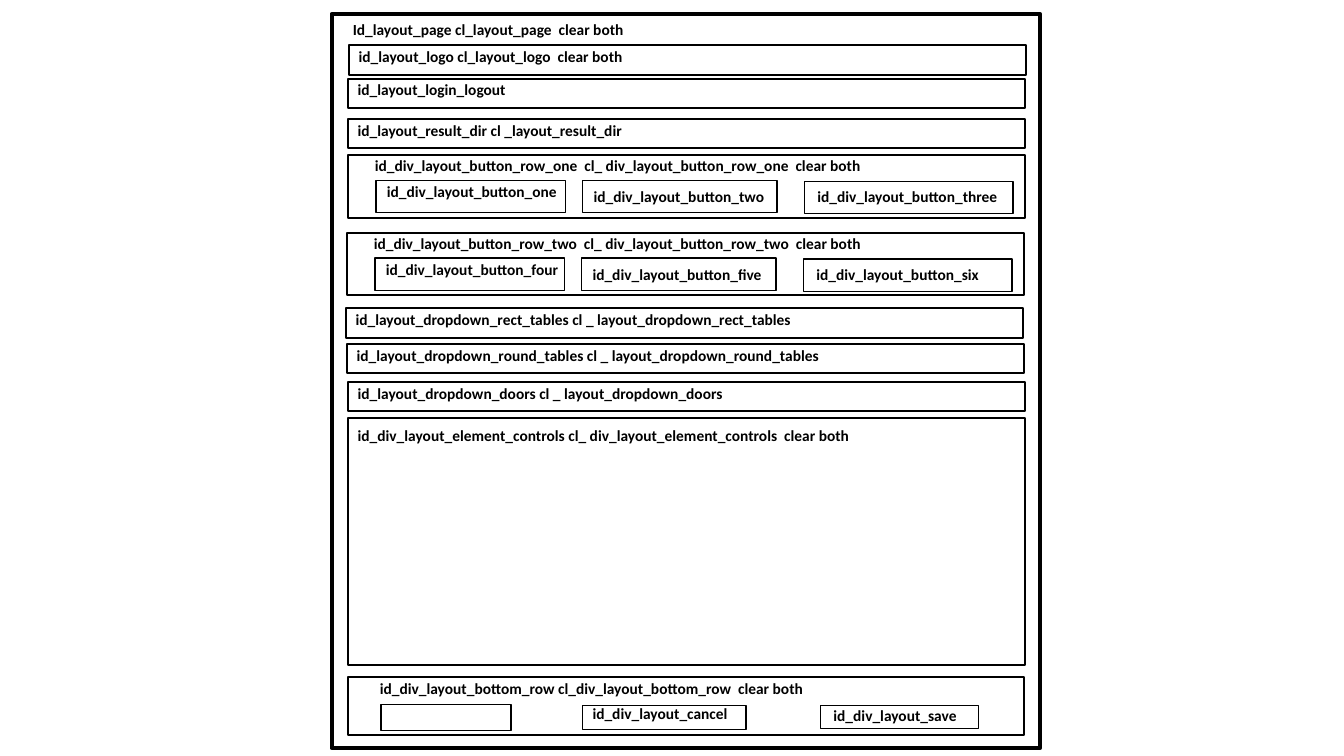
from pptx import Presentation
from pptx.dml.color import RGBColor
from pptx.enum.shapes import MSO_SHAPE
from pptx.enum.text import MSO_ANCHOR, MSO_AUTO_SIZE, PP_ALIGN
from pptx.util import Inches, Pt

RECTANGLE = MSO_SHAPE.RECTANGLE
TOP = MSO_ANCHOR.TOP
NO_AUTOFIT = MSO_AUTO_SIZE.NONE
LEFT = PP_ALIGN.LEFT

BLACK = RGBColor(0x00, 0x00, 0x00)
CELL = Inches(0.1)
COLUMNS, ROWS = 133.33, 75
TITLE_ONLY = 5

SECTION_LEFT, SECTION_WIDTH = 34.5, 67.2
BAR_HEIGHT = 2.9
BUTTON_ROW_HEIGHT, BUTTON_HEIGHT = 6.2, 3.2

BARS = [
    (34.6, 4.5, "id_layout_logo cl_layout_logo  clear both"),
    (34.5, 7.8, "id_layout_login_logout"),
    (34.5, 11.8, "id_layout_result_dir cl _layout_result_dir"),
    (34.3, 30.6, "id_layout_dropdown_rect_tables cl _ layout_dropdown_rect_tables"),
    (34.4, 34.1, "id_layout_dropdown_round_tables cl _ layout_dropdown_round_tables"),
    (34.5, 37.9, "id_layout_dropdown_doors cl _ layout_dropdown_doors"),
]
BUTTON_ROWS = [
    (34.5, 15.4, "one", ("one", "two", "three")),
    (34.4, 23.1, "two", ("four", "five", "six")),
]
BUTTON_SLOTS = [
    (2.8, 2.5, 18.8, 2.9, 2.2),
    (23.3, 2.5, 19.3, 23.4, 2.7),
    (45.3, 2.6, 20.7, 45.6, 2.7),
]
BOTTOM_BOXES = [
    (37.8, 69.9, 12.9, 2.6),
    (57.8, 70, 16.2, 2.4),
    (81.4, 70, 15.7, 2.3),
]
BOTTOM_LABELS = [
    (57.8, 69.4, "id_div_layout_cancel"),
    (81.7, 69.6, "id_div_layout_save"),
]


def cells(*counts):
    return [round(count * CELL) for count in counts]


def write_text(frame, text, size=11, bold=True, color=BLACK, font_name="Calibri"):
    frame.word_wrap = True
    frame.auto_size = NO_AUTOFIT
    frame.vertical_anchor = TOP
    paragraph = frame.paragraphs[0]
    paragraph.alignment = LEFT
    run = paragraph.add_run()
    run.text = text
    run.font.name = font_name
    run.font.size = Pt(size)
    run.font.bold = bold
    run.font.color.rgb = color


class Wireframe:
    def __init__(self, slide, color=BLACK):
        self.slide = slide
        self.color = color

    def title(self, left, top, width, height, text):
        title = self.slide.shapes.title
        title.left, title.top, title.width, title.height = cells(left, top, width, height)
        write_text(title.text_frame, text, color=self.color)

    def box(self, left, top, width, height, weight=1.5):
        shape = self.slide.shapes.add_shape(RECTANGLE, *cells(left, top, width, height))
        shape.shadow.inherit = False
        shape.fill.background()
        shape.line.color.rgb = self.color
        shape.line.width = Pt(weight)

    def label(self, left, top, text, width=59.4):
        text_box = self.slide.shapes.add_textbox(*cells(left, top, width, BAR_HEIGHT))
        write_text(text_box.text_frame, text, color=self.color)

    def bar(self, left, top, text):
        self.box(left, top, SECTION_WIDTH, BAR_HEIGHT)
        self.label(left, top - 0.3, text)

    def button_row(self, left, top, name, buttons):
        self.box(left, top, SECTION_WIDTH, BUTTON_ROW_HEIGHT)
        row_name = f"div_layout_button_row_{name}"
        self.label(left + 1.7, top - 0.4, f"id_{row_name}  cl_ {row_name}  clear both")
        for slot, button in zip(BUTTON_SLOTS, buttons):
            box_left, box_top, width, label_left, label_top = slot
            self.box(left + box_left, top + box_top, width, BUTTON_HEIGHT, weight=1)
            self.label(left + label_left, top + label_top, f"id_div_layout_button_{button}", width=21.6)


def main():
    presentation = Presentation()
    presentation.slide_width, presentation.slide_height = cells(COLUMNS, ROWS)
    slide = presentation.slides.add_slide(presentation.slide_layouts[TITLE_ONLY])
    wireframe = Wireframe(slide)

    wireframe.title(34, 1.5, 47.4, BAR_HEIGHT, "Id_layout_page cl_layout_page  clear both")
    wireframe.box(32.9, 1.4, 70.3, 72.8, weight=3)
    for bar in BARS:
        wireframe.bar(*bar)
    for button_row in BUTTON_ROWS:
        wireframe.button_row(*button_row)

    wireframe.box(SECTION_LEFT, 41.5, SECTION_WIDTH, 24.5)
    wireframe.label(
        SECTION_LEFT, 41.8,
        "id_div_layout_element_controls cl_ div_layout_element_controls  clear both",
    )

    wireframe.box(SECTION_LEFT, 67.2, 67.1, 5.7)
    wireframe.label(36.7, 66.9, "id_div_layout_bottom_row cl_div_layout_bottom_row  clear both")
    for box in BOTTOM_BOXES:
        wireframe.box(*box, weight=1)
    for label in BOTTOM_LABELS:
        wireframe.label(*label, width=20)

    presentation.save("out.pptx")


if __name__ == "__main__":
    main()
